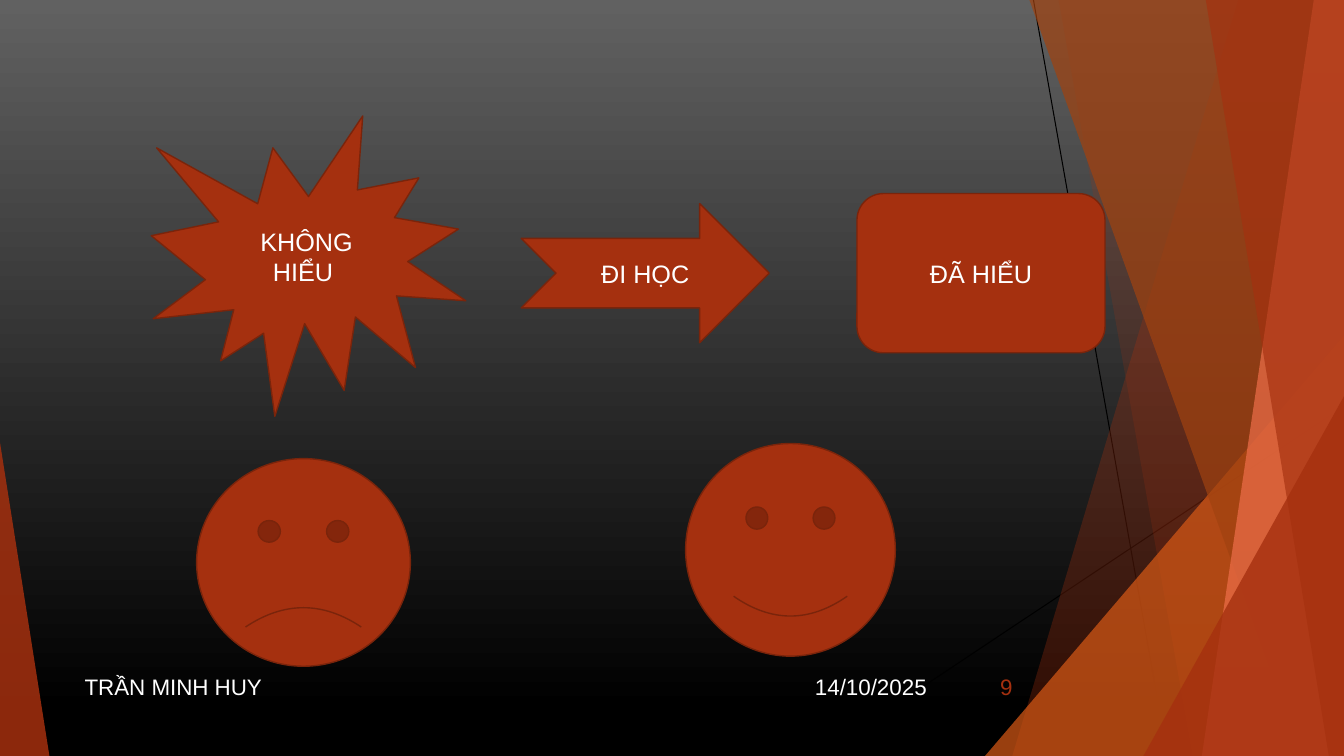
from dataclasses import dataclass

from lxml.etree import SubElement
from pptx import Presentation
from pptx.dml.color import RGBColor
from pptx.enum.shapes import MSO_CONNECTOR, MSO_SHAPE
from pptx.enum.text import MSO_ANCHOR, PP_ALIGN
from pptx.oxml.ns import qn
from pptx.util import Inches, Pt

WIDE, HIGH = 13.33, 7.5
RUST, EDGE, WHITE, BLACK = "A5300F", "7A240B", "FFFFFF", "000000"
FRAME = {"word_wrap": True, "vertical_anchor": MSO_ANCHOR.MIDDLE}


@dataclass
class Band:
    """Strip that runs from a slanted left side to the right slide edge."""
    top: float
    base: float
    fill: str
    alpha: int


@dataclass
class Wedge:
    """Triangle standing on the bottom of the slide."""
    left: float
    top: float
    width: float
    tip: float
    fill: str
    alpha: int


@dataclass
class Label:
    left: float
    width: float
    text: str
    align: PP_ALIGN
    color: str = WHITE


@dataclass
class Figure:
    kind: MSO_SHAPE
    box: tuple[float, float, float, float]
    text: str = ""
    bend: float | None = None


LINES = [(10.25, 0, 11.58, HIGH), (WIDE, 4.03, 8.12, HIGH)]

DECOR = [
    Band(12.28, 10.04, RUST, 30),
    Band(10.5, 11.83, RUST, 20),
    Wedge(9.77, 3.33, 3.56, 1, "D55816", 72),
    Band(10.21, 12.91, "A04210", 70),
    Band(13.03, 11.92, "EE6E4A", 70),
    Band(11.96, 13.18, RUST, 65),
    Wedge(11.34, 3.93, 1.99, 1, RUST, 80),
    Wedge(0, 4.39, 0.49, 0, RUST, 85),
]

LABELS = [
    Label(7.88, 1.41, "14/10/2025", PP_ALIGN.RIGHT),
    Label(0.74, 6.89, "TRẦN MINH HUY", PP_ALIGN.LEFT),
    Label(9.39, 0.75, "9", PP_ALIGN.RIGHT, RUST),
]

FIGURES = [
    Figure(MSO_SHAPE.EXPLOSION1, (1.5, 1.15, 3.12, 2.98), "KHÔNG HIỂU "),
    Figure(MSO_SHAPE.NOTCHED_RIGHT_ARROW, (5.17, 2.02, 2.46, 1.38), "ĐI HỌC"),
    Figure(MSO_SHAPE.ROUNDED_RECTANGLE, (8.5, 1.92, 2.46, 1.58), "ĐÃ HIỂU"),
    Figure(MSO_SHAPE.SMILEY_FACE, (1.95, 4.55, 2.12, 2.06), bend=-0.047),
    Figure(MSO_SHAPE.SMILEY_FACE, (6.8, 4.4, 2.08, 2.11)),
]


def paint(color, tone: str) -> None:
    color.rgb = RGBColor.from_string(tone)


def fill(shape, tone: str, alpha: int = 100) -> None:
    shape.shadow.inherit = False
    shape.fill.solid()
    paint(shape.fill.fore_color, tone)
    if alpha < 100:
        node = shape.fill._xPr.find(qn("a:solidFill"))[0]
        SubElement(node, qn("a:alpha"), val=str(alpha * 1000))


def write(shape, text: str, size: int, align: PP_ALIGN, tone: str) -> None:
    frame = shape.text_frame
    for name, value in FRAME.items():
        setattr(frame, name, value)
    par = frame.paragraphs[0]
    par.alignment = align
    run = par.add_run()
    run.text = text
    for name, value in {"size": Pt(size), "name": "Arial"}.items():
        setattr(run.font, name, value)
    paint(run.font.color, tone)


def draw_line(shapes, ends: tuple[float, float, float, float]) -> None:
    line = shapes.add_connector(MSO_CONNECTOR.STRAIGHT, *map(Inches, ends))
    line.line.width = Pt(0.75)
    paint(line.line.color, BLACK)
    SubElement(line._element.spPr, qn("a:effectLst"))


def draw_decor(shapes, part: Band | Wedge) -> None:
    if isinstance(part, Band):
        path = [(part.top, 0), (WIDE, 0), (WIDE, HIGH), (part.base, HIGH)]
        (x, y), *rest = [(Inches(a), Inches(b)) for a, b in path]
        maker = shapes.build_freeform(x, y)
        maker.add_line_segments(rest, close=True)
        shape = maker.convert_to_shape()
    else:
        box = (part.left, part.top, part.width, HIGH - part.top)
        shape = shapes.add_shape(MSO_SHAPE.ISOSCELES_TRIANGLE, *map(Inches, box))
        shape.adjustments[0] = part.tip
    fill(shape, part.fill, part.alpha)
    shape.line.fill.background()


def draw_label(shapes, label: Label) -> None:
    box = (label.left, 6.61, label.width, 0.4)
    shape = shapes.add_textbox(*map(Inches, box))
    write(shape, label.text, 16, label.align, label.color)


def draw_figure(shapes, figure: Figure) -> None:
    shape = shapes.add_shape(figure.kind, *map(Inches, figure.box))
    fill(shape, RUST)
    shape.line.width = Pt(1)
    paint(shape.line.color, EDGE)
    if figure.bend is not None:
        shape.adjustments[0] = figure.bend
    if figure.text:
        write(shape, figure.text, 18, PP_ALIGN.CENTER, WHITE)


def main() -> None:
    deck = Presentation()
    deck.slide_width, deck.slide_height = Inches(WIDE), Inches(HIGH)
    slide = deck.slides.add_slide(deck.slide_layouts[6])

    # Background, grey at the top to black
    back = slide.background.fill
    back.gradient()
    back.gradient_angle = 270
    for stop, (place, tone) in zip(back.gradient_stops, [(0, "616161"), (0.94, BLACK)]):
        stop.position = place
        paint(stop.color, tone)

    # Side decoration, footer, then the main figures
    for draw, items in [
        (draw_line, LINES),
        (draw_decor, DECOR),
        (draw_label, LABELS),
        (draw_figure, FIGURES),
    ]:
        for item in items:
            draw(slide.shapes, item)

    deck.save("out.pptx")


if __name__ == "__main__":
    main()
